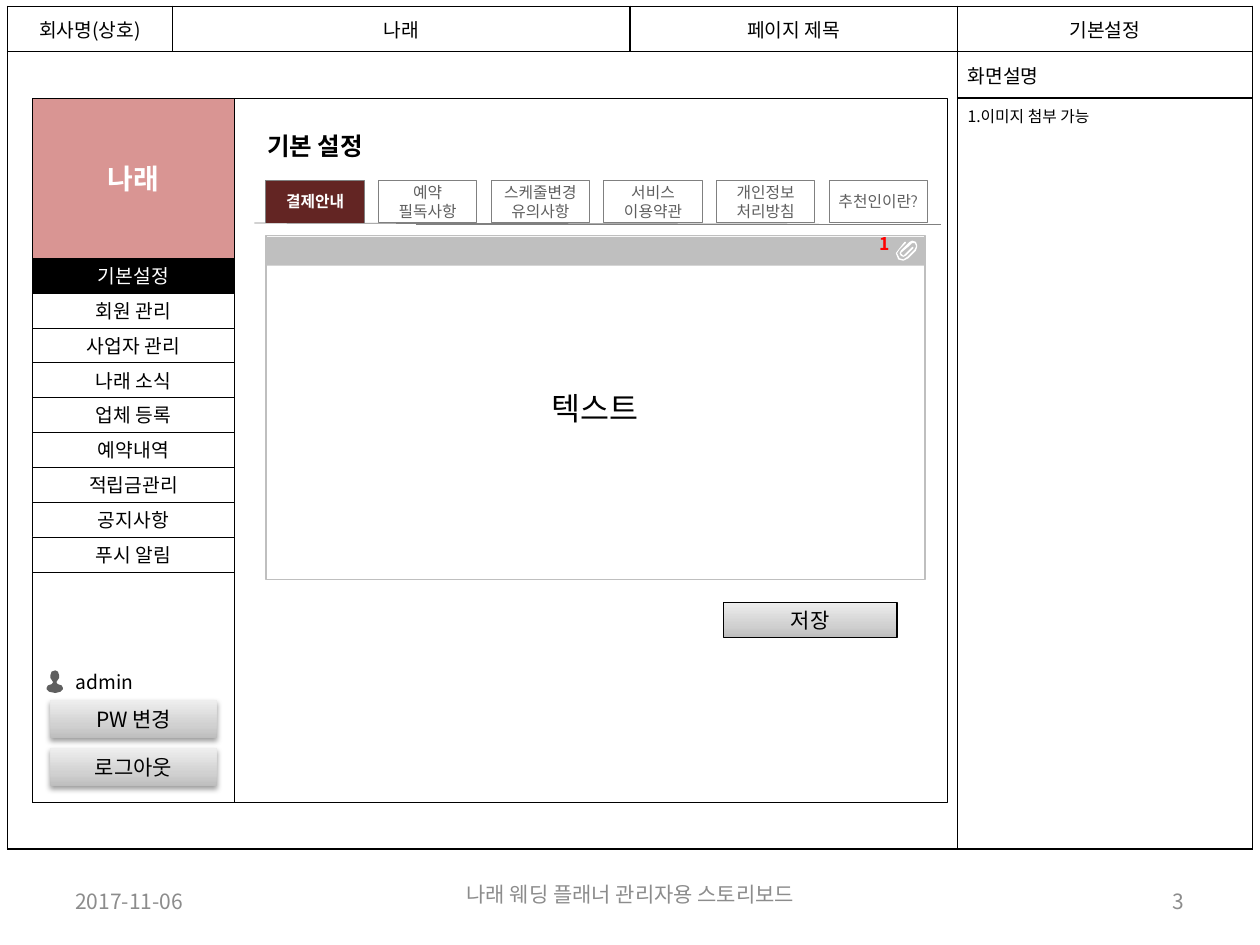
from lxml.etree import SubElement
from pptx import Presentation
from pptx.dml.color import RGBColor
from pptx.enum.shapes import MSO_CONNECTOR, MSO_SHAPE
from pptx.enum.text import MSO_ANCHOR as Anchor, MSO_AUTO_SIZE, PP_ALIGN as Align
from pptx.oxml.ns import qn
from pptx.util import Inches, Pt

NOTO, CABIN = "Noto Sans CJK KR", "Cabin"
BLACK, WHITE, GRAY, DARK_GRAY, SILVER = "000000", "FFFFFF", "808080", "5F5F5F", "BFBFBF"
FOOTER_GRAY = "8C8C8C"
BUTTON_STOPS = ((0, "BDBDBD"), (35, "D1D1D1"), (100, "EEEEEE"))
BRAND = "나래"

MENU = ("기본설정", "회원 관리", "사업자 관리", f"{BRAND} 소식", "업체 등록",
        "예약내역", "적립금관리", "공지사항", "푸시 알림")
MENU_TOP, MENU_PITCH = 2.05, (4.26 - 2.05) / 8
TABS = ("결제안내", "예약 필독사항", "스케줄변경 유의사항", "서비스 이용약관",
        "개인정보 처리방침", "추천인이란?")
TAB_LEFT, TAB_TOP, TAB_WIDTH, TAB_HEIGHT = 2.11, 1.43, 0.78, 0.34
TAB_PITCH = (6.58 - 2.11) / 5

CLIP = ((7.24, 1.91), (7.22, 1.92), (7.2, 1.94), (7.15, 1.99), (7.14, 2.01), (7.15, 2.03),
        (7.17, 2.04), (7.19, 2.03), (7.25, 1.97), (7.25, 1.96), (7.24, 1.96), (7.18, 2.02),
        (7.17, 2.03), (7.16, 2.02), (7.15, 2.01), (7.16, 2), (7.22, 1.95), (7.24, 1.93),
        (7.26, 1.93), (7.27, 1.95), (7.27, 1.96), (7.26, 1.98), (7.2, 2.04), (7.17, 2.06),
        (7.14, 2.05), (7.12, 2.01), (7.14, 1.98), (7.19, 1.93), (7.19, 1.92), (7.18, 1.92),
        (7.14, 1.97), (7.11, 2.01), (7.13, 2.06), (7.17, 2.07), (7.21, 2.05), (7.27, 1.99),
        (7.28, 1.96), (7.28, 1.95), (7.27, 1.92))
PERSON = ((0.44, 5.32), (0.41, 5.33), (0.4, 5.36), (0.4, 5.38), (0.42, 5.41), (0.42, 5.42),
          (0.41, 5.43), (0.38, 5.44), (0.37, 5.46), (0.37, 5.47), (0.39, 5.49), (0.44, 5.5),
          (0.48, 5.49), (0.5, 5.47), (0.5, 5.46), (0.49, 5.44), (0.46, 5.43), (0.45, 5.42),
          (0.45, 5.41), (0.47, 5.38), (0.47, 5.36), (0.46, 5.33))


def rgb(color):
    return RGBColor.from_string(color)


def write_text(frame, text, size=11, color=BLACK, bold=False, font=NOTO,
               align=Align.LEFT, anchor=Anchor.MIDDLE, side=0.1, wrap=True):
    frame.word_wrap = wrap
    frame.vertical_anchor = anchor
    frame.margin_left = frame.margin_right = Inches(side)
    frame.margin_top = frame.margin_bottom = Inches(0.05)
    paragraph = frame.paragraphs[0]
    paragraph.alignment = align
    run = paragraph.add_run()
    run.text = text
    run.font.size, run.font.bold, run.font.name = Pt(size), bold, font
    run.font.color.rgb = rgb(color)
    SubElement(run.font._element, qn("a:ea"), typeface=font)


def add_label(slide, box, text, **style):
    label = slide.shapes.add_textbox(*map(Inches, box))
    write_text(label.text_frame, text, **style)


def paint(shape, fill, line, weight):
    shape.shadow.inherit = False
    if fill:
        shape.fill.solid()
        shape.fill.fore_color.rgb = rgb(fill)
    else:
        shape.fill.background()
    if line:
        shape.line.color.rgb = rgb(line)
        shape.line.width = Pt(weight)
    else:
        shape.line.fill.background()


def add_box(slide, box, text=None, fill=None, line=BLACK, weight=0.25, **style):
    shape = slide.shapes.add_shape(MSO_SHAPE.RECTANGLE, *map(Inches, box))
    paint(shape, fill, line, weight)
    if text:
        write_text(shape.text_frame, text, align=Align.CENTER, **style)
    return shape


def add_outline(slide, points, fill, line=None, close=True):
    corners = [(Inches(x), Inches(y)) for x, y in points]
    builder = slide.shapes.build_freeform(*corners[0])
    builder.add_line_segments(corners[1:], close=close)
    shape = builder.convert_to_shape()
    paint(shape, fill, line, 0.5)
    return shape


def add_button(slide, box, text, line=None, raised=False):
    button = add_box(slide, box, text, line=line, weight=0.75, size=12)
    button.fill.gradient()
    button.fill.gradient_angle = 90
    properties = button._element.spPr
    stops = properties.find(".//" + qn("a:gsLst"))
    for stop in list(stops):
        stops.remove(stop)
    for position, color in BUTTON_STOPS:
        stop = SubElement(stops, qn("a:gs"), pos=str(position * 1000))
        SubElement(stop, qn("a:srgbClr"), val=color)
    if raised:
        shadow = SubElement(properties.find(qn("a:effectLst")), qn("a:outerShdw"),
                            blurRad="40000", dist="20000", dir="5400000", rotWithShape="0")
        tint = SubElement(shadow, qn("a:srgbClr"), val=BLACK)
        SubElement(tint, qn("a:alpha"), val="38000")


def add_rule(slide, start, end):
    rule = slide.shapes.add_connector(MSO_CONNECTOR.STRAIGHT, *map(Inches, start + end))
    rule.line.color.rgb = rgb(GRAY)
    rule.line.width = Pt(0.5)
    SubElement(rule._element.spPr, qn("a:effectLst"))


def clear_cell(cell):
    """Give the cell thin black borders and no fill."""
    properties = cell._tc.get_or_add_tcPr()
    for side in ("lnL", "lnR", "lnT", "lnB"):
        border = SubElement(properties, qn(f"a:{side}"), w=str(Pt(1)))
        SubElement(SubElement(border, qn("a:solidFill")), qn("a:srgbClr"), val=BLACK)
    cell.fill.background()


def write_cell(cell, text, **style):
    write_text(cell.text_frame, text, side=0.08, **style)
    cell.vertical_anchor = style.get("anchor", Anchor.MIDDLE)
    cell.margin_left = cell.margin_right = Inches(0.08)
    cell.margin_top = cell.margin_bottom = Inches(0.05)


def add_frame_table(slide):
    table = slide.shapes.add_table(3, 4, *map(Inches, (0.06, 0.05, 9.89, 6.69))).table
    table.first_row = table.horz_banding = False
    for column, width in zip(table.columns, (1.31, 3.63, 2.6, 2.34)):
        column.width = Inches(width)
    for row, height in zip(table.rows, (0.36, 0.37, 5.96)):
        row.height = Inches(height)
    for cell in table.iter_cells():
        clear_cell(cell)
    table.cell(1, 0).merge(table.cell(2, 2))
    for column, heading in enumerate(("회사명(상호)", BRAND, "페이지 제목", "기본설정")):
        write_cell(table.cell(0, column), heading, align=Align.CENTER)
    write_cell(table.cell(1, 3), "화면설명")
    write_cell(table.cell(2, 3), "1.이미지 첨부 가능", size=9, anchor=Anchor.TOP)


def add_title(slide):
    title = slide.shapes.title
    title.left, title.top, title.width, title.height = map(Inches, (2.02, 0.99, 2.49, 0.34))
    title.text_frame.auto_size = MSO_AUTO_SIZE.NONE
    write_text(title.text_frame, "기본 설정", size=14, bold=True, anchor=Anchor.TOP)


def add_sidebar(slide):
    add_box(slide, (0.26, 0.78, 1.6, 1.27), BRAND, fill="D99593",
            size=16, color=WHITE, bold=True)
    add_box(slide, (0.26, 4.26, 1.6, 2.11))
    for index, item in enumerate(MENU):
        fill, color = (WHITE, BLACK) if index else (BLACK, WHITE)
        add_box(slide, (0.26, MENU_TOP + index * MENU_PITCH, 1.6, 0.28), item,
                fill=fill, color=color)
    add_outline(slide, PERSON, DARK_GRAY)
    add_label(slide, (0.5, 5.27, 1.35, 0.28), "admin")
    for top, action in ((5.56, "PW 변경"), (5.94, "로그아웃")):
        add_button(slide, (0.4, top, 1.32, 0.3), action, raised=True)


def add_tabs(slide):
    add_rule(slide, (6.5, 1.78), (2.02, 1.77))
    add_rule(slide, (3.3, 1.78), (7.47, 1.78))
    right, bottom = TAB_LEFT + TAB_WIDTH, TAB_TOP + TAB_HEIGHT
    selected = add_outline(slide, ((TAB_LEFT, bottom), (TAB_LEFT, TAB_TOP),
                                   (right, TAB_TOP), (right, bottom)),
                           "632523", line=GRAY, close=False)
    write_text(selected.text_frame, TABS[0], size=9, color=WHITE, bold=True,
               font=CABIN, align=Align.CENTER, side=0.05)
    for index, name in enumerate(TABS[1:], 1):
        add_box(slide, (TAB_LEFT + index * TAB_PITCH, TAB_TOP, TAB_WIDTH, TAB_HEIGHT), name,
                fill=WHITE, line=GRAY, weight=0.5, size=9, color=DARK_GRAY,
                font=CABIN, side=0.05)


def add_editor(slide):
    add_box(slide, (2.11, 1.87, 5.23, 2.73), "텍스트", fill=WHITE, line=SILVER,
            weight=1, size=18)
    add_box(slide, (2.11, 1.88, 5.23, 0.23), fill=SILVER, line=None)
    add_outline(slide, CLIP, WHITE)
    add_label(slide, (6.88, 1.8, 0.28, 0.27), "1", size=10, color="FF0000", bold=True,
              anchor=Anchor.TOP, wrap=False)
    add_button(slide, (5.74, 4.78, 1.38, 0.28), "저장", line=BLACK)


def add_footer(slide):
    for box, text, align in (
            ((0.5, 6.95, 2.33, 0.4), "2017-11-06", Align.LEFT),
            ((3.42, 6.9, 3.17, 0.4), f"{BRAND} 웨딩 플래너 관리자용 스토리보드", Align.CENTER),
            ((7.17, 6.95, 2.33, 0.4), "3", Align.RIGHT)):
        add_label(slide, box, text, size=12, color=FOOTER_GRAY, align=align)


def main():
    deck = Presentation()
    deck.slide_width, deck.slide_height = Inches(10), Inches(7.5)
    slide = deck.slides.add_slide(deck.slide_layouts[5])
    add_frame_table(slide)
    add_box(slide, (0.26, 0.78, 7.26, 5.59))
    add_title(slide)
    add_sidebar(slide)
    add_tabs(slide)
    add_editor(slide)
    add_footer(slide)
    deck.save("out.pptx")


if __name__ == "__main__":
    main()
